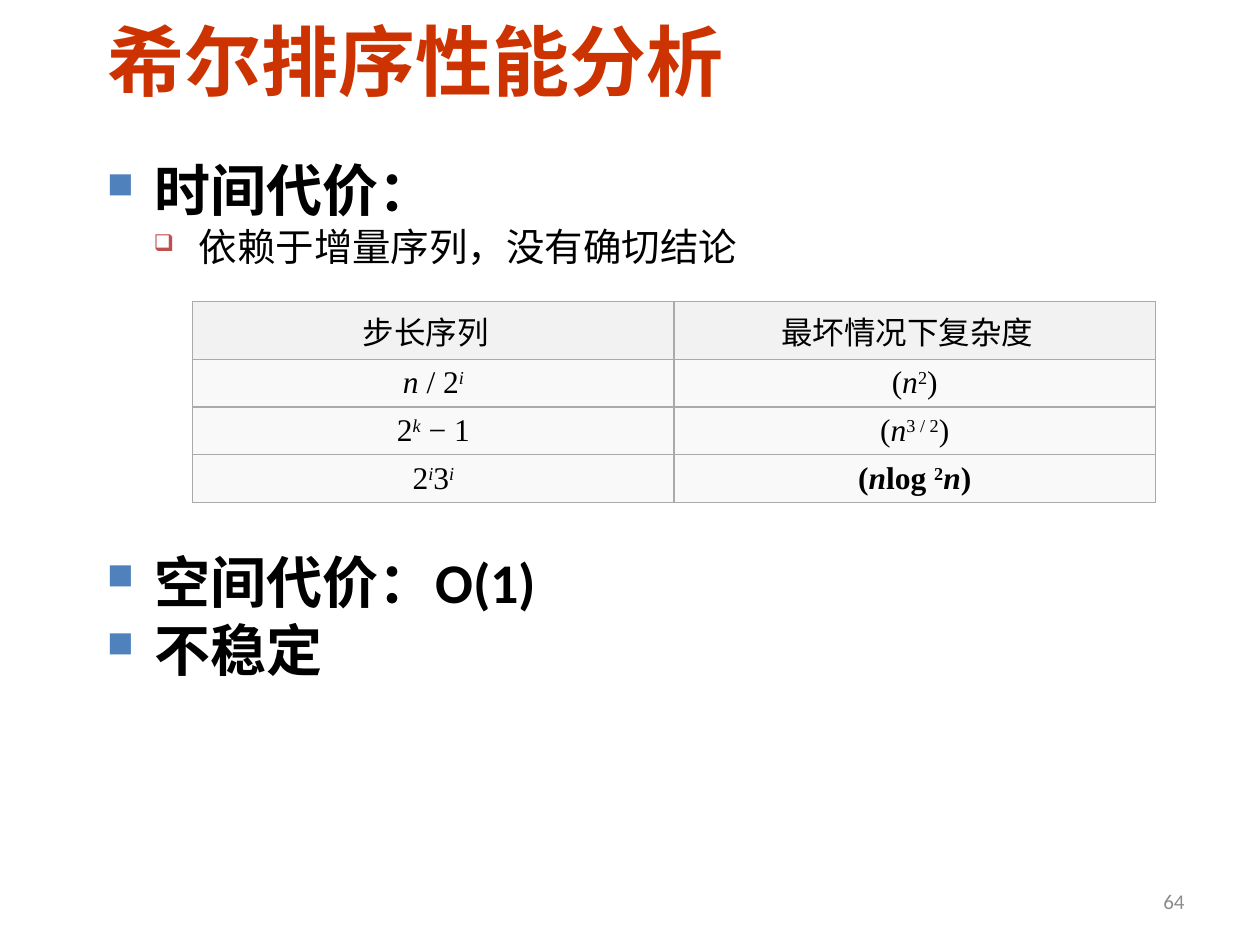
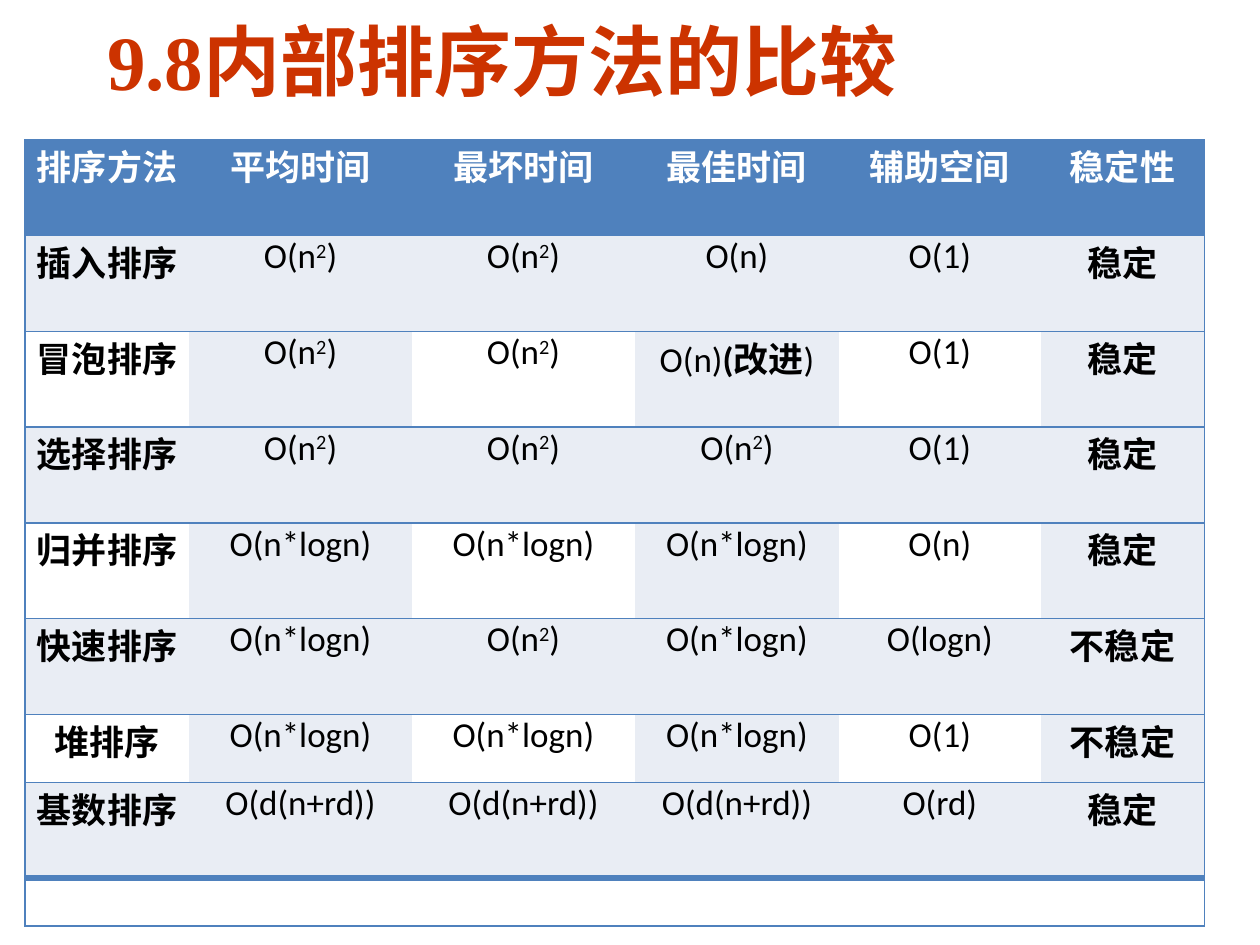
from lxml.etree import SubElement
from pptx import Presentation
from pptx.dml.color import RGBColor
from pptx.enum.text import MSO_ANCHOR as Anchor, MSO_AUTO_SIZE as AutoSize, PP_ALIGN as Align
from pptx.oxml.ns import qn
from pptx.util import Inches, Pt

COLORS = {
    "title": "CC3300", "text": "000000", "number": "8C8C8C", "white": "FFFFFF",
    "blue": "4F81BD", "red": "C0504D", "band": "E9EDF4",
    "step_line": "AAAAAA", "step_header": "F2F2F2", "step_body": "F9F9F9",
}
BODY_FONT = "Calibri"
SERIF_FONT = "Times New Roman"
TITLE_ONLY = 5

STEP_HEADERS = ["步长序列", "最坏情况下复杂度"]
STEP_ROWS = [
    ([("n", "i"), (" / 2", ""), ("i", "i^")],
     [("(", ""), ("n", "i"), ("2", "^"), (")", "")]),
    ([("2", ""), ("k", "i^"), (" − 1", "")],
     [("(", ""), ("n", "i"), ("3 / 2", "^"), (")", "")]),
    ([("2", ""), ("i", "i^"), ("3", ""), ("i", "i^")],
     [("(", "b"), ("n", "bi"), ("log ", "b"), ("2", "b^"), ("n", "bi"), (")", "b")]),
]

SQUARE = [("O(n", ""), ("2", "^"), (")", "")]
IMPROVED = [("O(n)", ""), ("(改进", "b"), (")", "")]
LOG = "O(n*logn)"
RADIX = "O(d(n+rd))"
METHOD_HEADERS = ["排序方法", "平均时间", "最坏时间", "最佳时间", "辅助空间", "稳定性"]
METHOD_ROWS = [
    ("插入排序", SQUARE, SQUARE, "O(n)", "O(1)", "稳定"),
    ("冒泡排序", SQUARE, SQUARE, IMPROVED, "O(1)", "稳定"),
    ("选择排序", SQUARE, SQUARE, SQUARE, "O(1)", "稳定"),
    ("归并排序", LOG, LOG, LOG, "O(n)", "稳定"),
    ("快速排序", LOG, SQUARE, LOG, "O(logn)", "不稳定"),
    ("堆排序", LOG, LOG, LOG, "O(1)", "不稳定"),
    ("基数排序", RADIX, RADIX, RADIX, "O(rd)", "稳定"),
]


def color(name):
    return RGBColor.from_string(COLORS[name])


def style_paragraph(paragraph, size, color_name="text", font=BODY_FONT, bold=None, align=Align.LEFT):
    paragraph.alignment = align
    paragraph.font.size = Pt(size)
    paragraph.font.name = font
    paragraph.font.color.rgb = color(color_name)
    if bold is not None:
        paragraph.font.bold = bold


def add_runs(paragraph, content):
    runs = [(content, "")] if isinstance(content, str) else content
    for text, marks in runs:
        run = paragraph.add_run()
        run.text = text
        if "b" in marks:
            run.font.bold = True
        if "i" in marks:
            run.font.italic = True
        if "^" in marks:
            run._r.get_or_add_rPr().set("baseline", "30000")


def add_titled_slide(presentation, title):
    slide = presentation.slides.add_slide(presentation.slide_layouts[TITLE_ONLY])
    shape = slide.shapes.title
    shape.left, shape.top = Inches(0.75), Inches(-0.03)
    shape.width, shape.height = Inches(8.5), Inches(1)
    frame = shape.text_frame
    frame.text = title
    frame.auto_size = AutoSize.NONE
    frame.vertical_anchor = Anchor.MIDDLE
    style_paragraph(frame.paragraphs[0], 44, "title", SERIF_FONT, True)
    return slide


def add_text_frame(slide, left, top, width, height):
    box = slide.shapes.add_textbox(Inches(left), Inches(top), Inches(width), Inches(height))
    box.text_frame.word_wrap = True
    return box.text_frame


def add_slide_number(slide, number):
    frame = add_text_frame(slide, 7.17, 6.95, 2.33, 0.4)
    frame.vertical_anchor = Anchor.MIDDLE
    paragraph = frame.paragraphs[0]
    add_runs(paragraph, number)
    style_paragraph(paragraph, 12, "number", align=Align.RIGHT)


def set_bullet(paragraph, character, color_name, percent, margin, hanging):
    properties = paragraph._p.get_or_add_pPr()
    properties.set("marL", str(Inches(margin)))
    properties.set("indent", str(-Inches(hanging)))
    bullet_color = SubElement(properties, qn("a:buClr"))
    SubElement(bullet_color, qn("a:srgbClr"), val=COLORS[color_name])
    SubElement(properties, qn("a:buSzPct"), val=str(percent * 1000))
    SubElement(properties, qn("a:buChar"), char=character)


def add_bullet(frame, text, level=0, space_before=0):
    paragraph = frame.paragraphs[0]
    if paragraph.runs:
        paragraph = frame.add_paragraph()
    add_runs(paragraph, text)
    paragraph.level = level
    paragraph.space_before = Pt(space_before)
    if level == 0:
        paragraph.line_spacing = Pt(39)
        set_bullet(paragraph, "■", "blue", 65, 0.38, 0.38)
        style_paragraph(paragraph, 32, bold=True)
    else:
        paragraph.line_spacing = Pt(26.5)
        set_bullet(paragraph, "❑", "red", 60, 0.73, 0.36)
        style_paragraph(paragraph, 22, bold=False)


def add_plain_table(slide, left, top, column_widths, row_heights):
    frame = slide.shapes.add_table(
        len(row_heights), len(column_widths), Inches(left), Inches(top),
        Inches(sum(column_widths)), Inches(sum(row_heights)))
    table = frame.table
    table.first_row = table.horz_banding = False
    for column, width in zip(table.columns, column_widths):
        column.width = Inches(width)
    for row, height in zip(table.rows, row_heights):
        row.height = Inches(height)
    return table


def format_cell(cell, fill, line, widths, margins):
    properties = cell._tc.get_or_add_tcPr()
    for side, width in zip("LRTB", widths):
        border = SubElement(properties, qn("a:ln" + side), w=str(Pt(width)))
        if width:
            solid = SubElement(border, qn("a:solidFill"))
            SubElement(solid, qn("a:srgbClr"), val=COLORS[line])
        else:
            SubElement(border, qn("a:noFill"))
    cell.fill.solid()
    cell.fill.fore_color.rgb = color(fill)
    cell.margin_left, cell.margin_right, cell.margin_top, cell.margin_bottom = map(Inches, margins)


def fill_cell(cell, content, size, **style):
    paragraph = cell.text_frame.paragraphs[0]
    add_runs(paragraph, content)
    style_paragraph(paragraph, size, align=Align.CENTER, **style)


def add_step_table(slide):
    table = add_plain_table(slide, 1.53, 2.39, [3.82] * 2, [0.46] + [0.38] * 3)
    for row, contents in enumerate([STEP_HEADERS] + STEP_ROWS):
        header = row == 0
        fill = "step_header" if header else "step_body"
        margins = (0.1, 0.22, 0.05, 0.05) if header else (0.1, 0.1, 0.04, 0.04)
        for column, content in enumerate(contents):
            cell = table.cell(row, column)
            format_cell(cell, fill, "step_line", [0.75] * 4, margins)
            cell.vertical_anchor = Anchor.MIDDLE
            fill_cell(cell, content, 18, font=BODY_FONT if header else SERIF_FONT)


def method_fill(row, column, last_row):
    if row == 0:
        return "blue"
    if row == last_row:
        return "white"
    return "band" if row % 2 or column % 2 else "white"


def add_method_table(slide):
    heights = [0.76] * 6 + [0.54, 0.76, 0.38]
    table = add_plain_table(slide, 0.2, 1.11, [1.3, 1.77, 1.77, 1.62, 1.6, 1.3], heights)
    last_row, last_column = len(heights) - 1, len(METHOD_HEADERS) - 1
    rows = [METHOD_HEADERS, *METHOD_ROWS, [""] * len(METHOD_HEADERS)]
    for row, contents in enumerate(rows):
        for column, content in enumerate(contents):
            cell = table.cell(row, column)
            widths = [int(column == 0), int(column == last_column),
                      4 if row == last_row else 1, 4 if row == last_row - 1 else 1]
            format_cell(cell, method_fill(row, column, last_row), "blue", widths,
                        (0.07, 0.07, 0, 0))
            if content:
                bold = True if row == 0 or column in (0, last_column) else None
                fill_cell(cell, content, 20, bold=bold,
                          color_name="white" if row == 0 else "text")


def build_shell_sort_slide(presentation):
    slide = add_titled_slide(presentation, "希尔排序性能分析")
    add_slide_number(slide, "64")
    frame = add_text_frame(slide, 0.75, 1.18, 7.89, 4.8)
    add_bullet(frame, "时间代价：")
    add_bullet(frame, "依赖于增量序列，没有确切结论", level=1)
    add_bullet(frame, "空间代价：O(1)", space_before=158)
    add_bullet(frame, "不稳定")
    add_step_table(slide)


def build_comparison_slide(presentation):
    slide = add_titled_slide(presentation, "9.8内部排序方法的比较")
    add_method_table(slide)


def main():
    presentation = Presentation()
    presentation.slide_width = Inches(10)
    presentation.slide_height = Inches(7.5)
    build_shell_sort_slide(presentation)
    build_comparison_slide(presentation)
    presentation.save("out.pptx")


if __name__ == "__main__":
    main()
